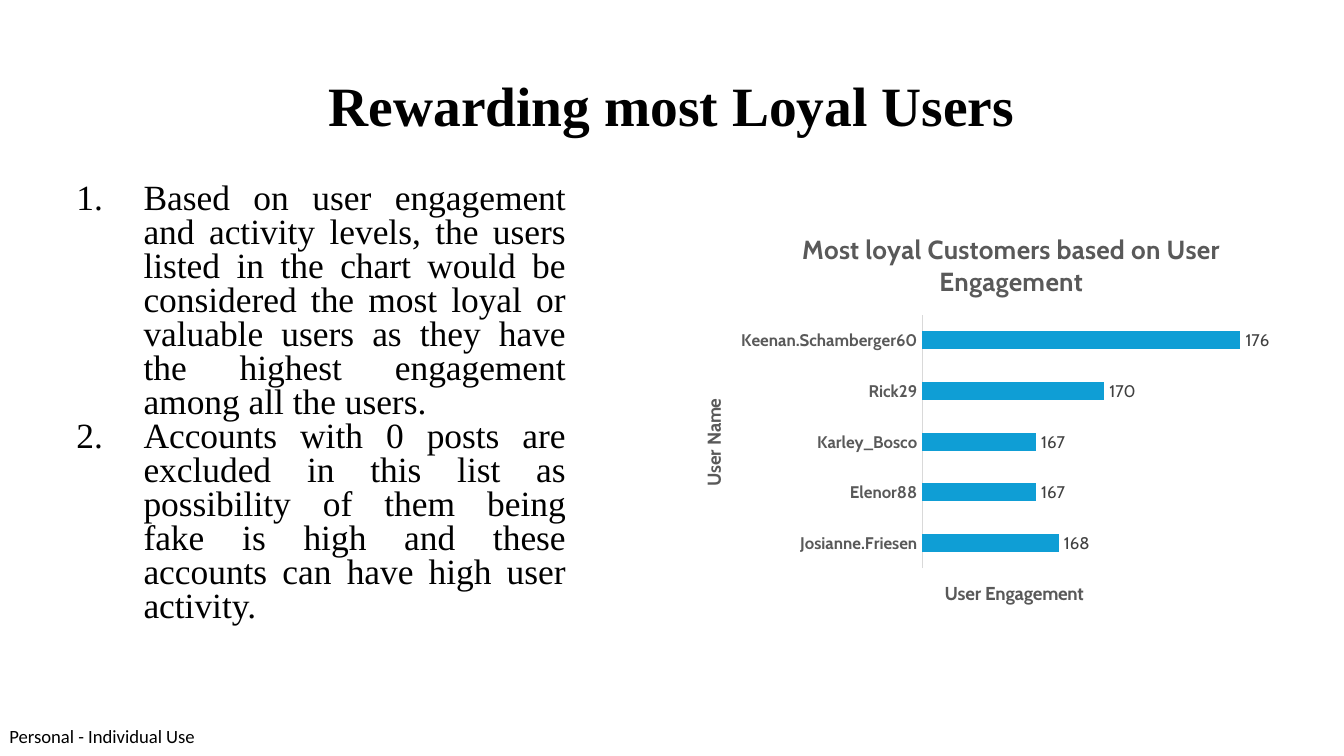
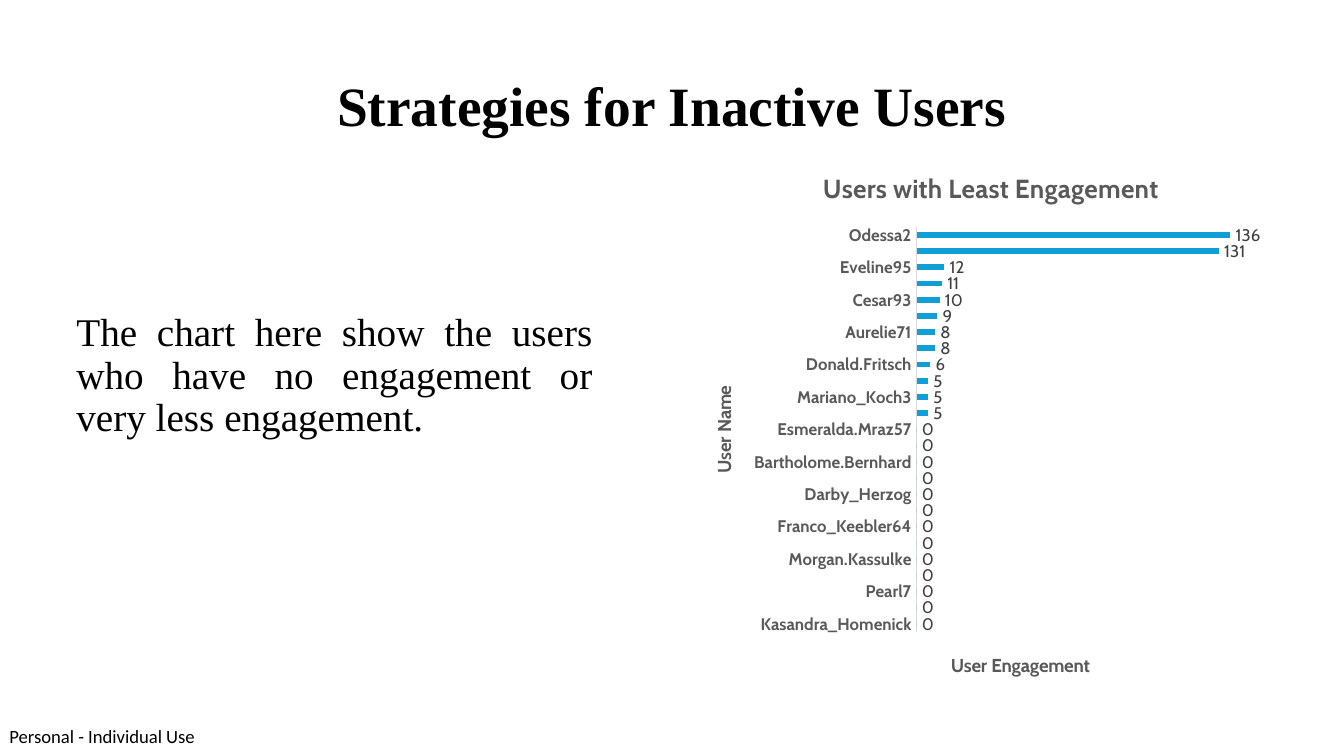
from lxml import etree
from pptx import Presentation
from pptx import util as u
from pptx.chart.data import CategoryChartData
from pptx.dml.color import RGBColor
from pptx.enum import chart as ch
from pptx.enum import text
from pptx.oxml import ns

BLACK = RGBColor(0x00, 0x00, 0x00)
BLUE = RGBColor(0x0F, 0x9E, 0xD5)
GREY = RGBColor(0x59, 0x59, 0x59)
DARK_GREY = RGBColor(0x40, 0x40, 0x40)
PALE_GREY = RGBColor(0xD9, 0xD9, 0xD9)
SERIF, CHART_FONT, FOOTER_FONT = "Times New Roman", "Cabin", "Calibri"

WIDTH = u.Inches(10)
HEIGHT = WIDTH * 9 // 16
COLUMN = WIDTH // 100
TITLE_AREA = (3.4, 4.9, 93.2, 6.3)
FOOTER_AREA = (0.7, 53.9, 14.1, 1.7)
FOOTER = "Personal - Individual Use"
CATEGORY_TITLE, VALUE_TITLE = "User Name", "User Engagement"

SLIDES = [
    {
        "title": "Rewarding most Loyal Users",
        "body": [
            "Based on user engagement and activity levels, the users listed in the chart would be "
            "considered the most loyal or valuable users as they have the highest engagement "
            "among all the users.",
            "Accounts with 0 posts are excluded in this list as possibility of them being fake "
            "is high and these accounts can have high user activity.",
        ],
        "body_area": (3.4, 12.65, 39.7, 38.8),
        "size": 19, "spacing": 0.8, "indent": (0.63, -0.5), "numbered": True,
        "chart_title": "Most loyal Customers based on User Engagement",
        "chart_area": (50, 15.6, 46.6, 31.4),
        "scale": (162, 178),
        "places": {"plot": (0.4, 0.25, 0.58, 0.6), "title": (0.2, 0.04),
                   "category": (0.04, 0.44), "value": (0.43, 0.87)},
        "users": [
            ("Josianne.Friesen", 168), ("Elenor88", 167), ("Karley_Bosco", 167),
            ("Rick29", 170), ("Keenan.Schamberger60", 176),
        ],
    },
    {
        "title": "Strategies for Inactive Users",
        "body": ["The chart here show the users who have no engagement or very less engagement."],
        "body_area": (3.4, 22.3, 41.7, 13.5),
        "size": 21, "spacing": 0.9, "indent": (0.13, 0), "numbered": False,
        "chart_title": "Users with Least Engagement",
        "chart_area": (50.8, 11.1, 45.8, 41.3),
        "scale": (0, 160),
        "places": {"plot": (0.38, 0.14, 0.6, 0.73), "title": (0.22, 0.03),
                   "category": (0.04, 0.42), "value": (0.43, 0.9)},
        "users": [
            ("Kasandra_Homenick", 0), ("Tierra.Trantow", 0), ("Pearl7", 0),
            ("David.Osinski47", 0), ("Morgan.Kassulke", 0), ("Linnea59", 0),
            ("Franco_Keebler64", 0), ("Hulda.Macejkovic", 0), ("Darby_Herzog", 0),
            ("Esther.Zulauf61", 0), ("Bartholome.Bernhard", 0), ("Jessyca_West", 0),
            ("Esmeralda.Mraz57", 0), ("Kenton_Kirlin", 5), ("Mariano_Koch3", 5),
            ("Florence99", 5), ("Donald.Fritsch", 6), ("Jaime53", 8), ("Aurelie71", 8),
            ("Delfina_VonRueden68", 9), ("Cesar93", 10), ("Clint27", 11),
            ("Eveline95", 12), ("Granville_Kutch", 131), ("Odessa2", 136),
        ],
    },
]


def place(area):
    return [round(length * COLUMN) for length in area]


def style(font, name, size, color, bold=False):
    font.name, font.size, font.bold = name, u.Pt(size), bold
    font.color.rgb = color


def prepare(box, inset):
    frame = box.text_frame
    frame.word_wrap = True
    frame.auto_size = text.MSO_AUTO_SIZE.NONE
    frame.margin_left = frame.margin_right = u.Inches(inset)
    frame.margin_top = frame.margin_bottom = u.Inches(inset)
    return frame


def set_layout(element, position):
    for old in element.findall(ns.qn("c:layout")):
        element.remove(old)
    layout = etree.Element(ns.qn("c:layout"))
    manual = etree.SubElement(layout, ns.qn("c:manualLayout"))
    names = ["x", "y", "w", "h"][:len(position)]
    settings = [("xMode", "edge"), ("yMode", "edge"), *zip(names, position)]
    if len(position) == 4:
        settings.insert(0, ("layoutTarget", "inner"))
    for name, value in settings:
        etree.SubElement(manual, ns.qn(f"c:{name}"), val=str(value))
    element.insert(0 if element.find(ns.qn("c:tx")) is None else 1, layout)


def add_footer(page):
    box = page.shapes.add_textbox(*place(FOOTER_AREA))
    frame = prepare(box, 0)
    frame.text = FOOTER
    style(frame.paragraphs[0].runs[0].font, FOOTER_FONT, 10, BLACK)
    page.slide_layout.shapes.element.append(box.element)


def add_title(page, title):
    box = page.shapes.title
    box.left, box.top, box.width, box.height = place(TITLE_AREA)
    frame = prepare(box, 0.1)
    frame.vertical_anchor = text.MSO_ANCHOR.MIDDLE
    frame.text = title
    para = frame.paragraphs[0]
    para.alignment, para.line_spacing = text.PP_ALIGN.CENTER, 0.9
    style(para.runs[0].font, SERIF, 29.7, BLACK, True)


def add_body(page, content):
    frame = prepare(page.shapes.add_textbox(*place(content["body_area"])), 0.1)
    frame.text = "\n".join(content["body"])
    margin, indent = content["indent"]
    for para in frame.paragraphs:
        para.alignment, para.line_spacing = text.PP_ALIGN.JUSTIFY, content["spacing"]
        properties = para._p.get_or_add_pPr()
        properties.set("marL", str(u.Inches(margin)))
        properties.set("indent", str(u.Inches(indent)))
        if content["numbered"]:
            etree.SubElement(properties, ns.qn("a:buAutoNum"), type="arabicPeriod")
        style(para.runs[0].font, SERIF, content["size"], BLACK)


def set_chart_text(title, words, size, position):
    title.text_frame.text = words
    style(title.text_frame.paragraphs[0].runs[0].font, CHART_FONT, size, GREY, True)
    set_layout(title.element, position)


def add_chart(page, content):
    data = CategoryChartData()
    names, values = zip(*content["users"])
    data.categories = names
    data.add_series("Series 1", values)
    chart = page.shapes.add_chart(
        ch.XL_CHART_TYPE.BAR_CLUSTERED, *place(content["chart_area"]), data).chart
    places = content["places"]
    style(chart.font, CHART_FONT, 10, BLACK)
    chart.has_legend = False
    set_layout(chart.element.find(".//" + ns.qn("c:plotArea")), places["plot"])
    set_chart_text(chart.chart_title, content["chart_title"], 14, places["title"])
    chart.chart_title.include_in_layout = False

    users, engagement = chart.category_axis, chart.value_axis
    set_chart_text(users.axis_title, CATEGORY_TITLE, 10, places["category"])
    set_chart_text(engagement.axis_title, VALUE_TITLE, 10, places["value"])
    style(users.tick_labels.font, CHART_FONT, 9, GREY, True)
    users.format.line.color.rgb = PALE_GREY
    users.format.line.width = u.Pt(0.75)
    users.major_tick_mark = ch.XL_TICK_MARK.NONE
    engagement.minimum_scale, engagement.maximum_scale = content["scale"]
    engagement.has_major_gridlines = False
    engagement.visible = False

    plot = chart.plots[0]
    plot.gap_width, plot.vary_by_categories = 182, False
    series = plot.series[0]
    series.format.fill.solid()
    series.format.fill.fore_color.rgb = BLUE
    labels = series.data_labels
    labels.show_value = True
    labels.position = ch.XL_LABEL_POSITION.OUTSIDE_END
    style(labels.font, CHART_FONT, 9, DARK_GREY)


def main():
    deck = Presentation()
    deck.slide_width, deck.slide_height = WIDTH, HEIGHT
    for number, content in enumerate(SLIDES):
        page = deck.slides.add_slide(deck.slide_layouts[5])
        if number == 0:
            add_footer(page)
        add_title(page, content["title"])
        add_body(page, content)
        add_chart(page, content)
    deck.save("out.pptx")


if __name__ == "__main__":
    main()
